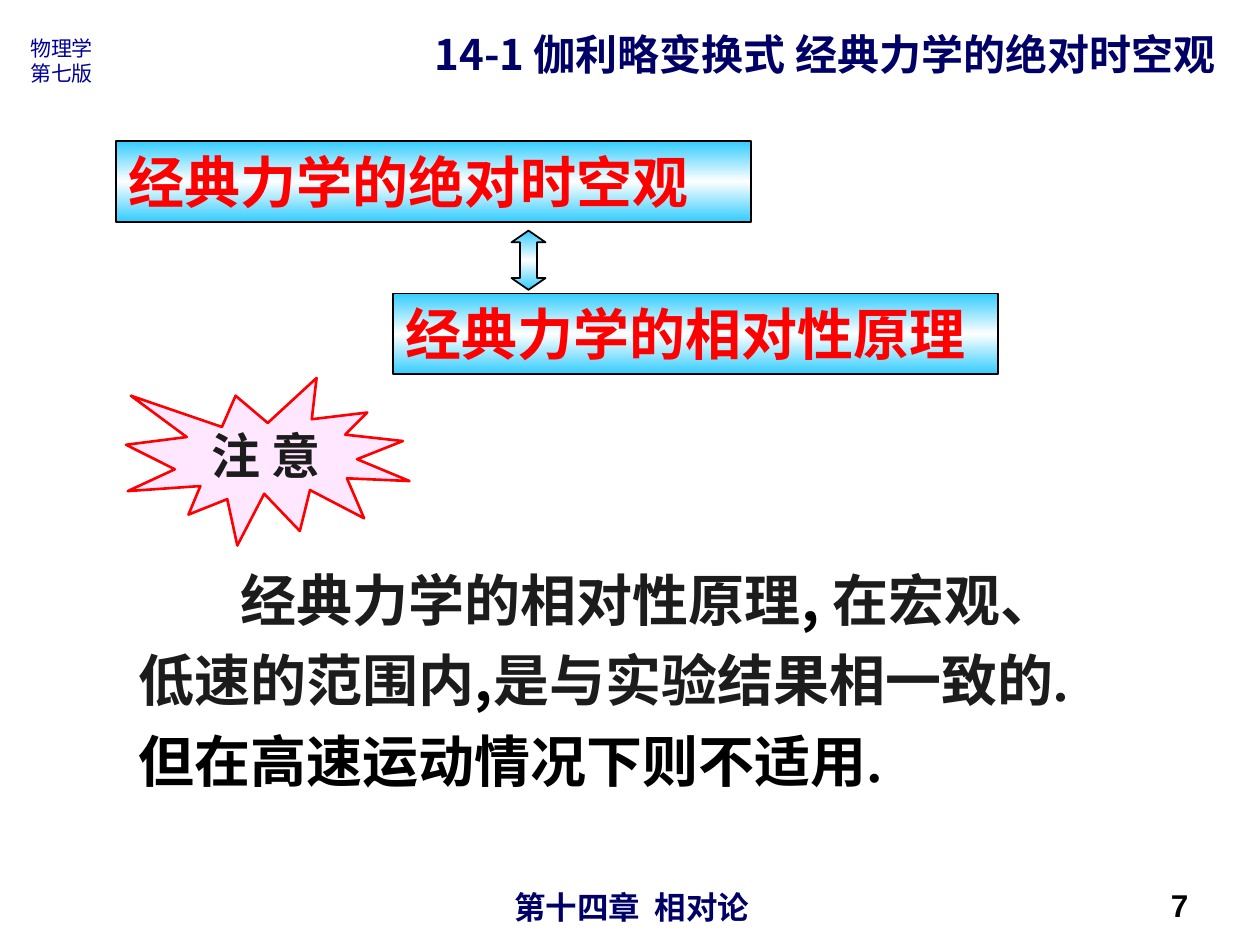
from copy import deepcopy
from dataclasses import dataclass

from pptx import Presentation
from pptx.dml.color import RGBColor
from pptx.enum.shapes import MSO_SHAPE
from pptx.enum.text import MSO_ANCHOR, PP_ALIGN
from pptx.util import Pt

RECT = MSO_SHAPE.RECTANGLE
ARROW = MSO_SHAPE.LEFT_RIGHT_ARROW
BURST = MSO_SHAPE.EXPLOSION1
LEFT, MID, RIGHT = PP_ALIGN.LEFT, PP_ALIGN.CENTER, PP_ALIGN.RIGHT
TOP, CENTRE = MSO_ANCHOR.TOP, MSO_ANCHOR.MIDDLE
PX = 9144


@dataclass(frozen=True)
class Theme:
    navy: str = "000066"
    blue: str = "000099"
    black: str = "000000"
    ink: str = "1C1C1C"
    red: str = "FF0000"
    pink: str = "FFE7FF"
    sky: str = "33CCFF"
    white: str = "FFFFFF"
    tiny: int = 12
    small: int = 18
    title: int = 24
    note: int = 28
    body: int = 32
    sans: str = "Arial"
    serif: str = "Times New Roman"
    han: str = "Noto Sans CJK SC"


def rgb(code):
    return RGBColor.from_string(code)


class Deck:
    def __init__(self, theme):
        self.theme = theme
        self.file = Presentation()
        self.file.slide_width, self.file.slide_height = 1000 * PX, 750 * PX
        self.slide = self.file.slides.add_slide(self.file.slide_layouts[6])

    def style(self, font, face, color):
        font.name = face
        font.color.rgb = rgb(color)

    def label(self, shape, lines, size, face, color, bold=True, align=LEFT, anchor=TOP):
        frame = shape.text_frame
        frame.word_wrap = True
        frame.vertical_anchor = anchor
        frame.text = "\n".join(lines)
        for para in frame.paragraphs:
            para.alignment = align
            para.font.size = Pt(size)
            para.font.bold = bold
            self.style(para.font, face, color)
        return frame.paragraphs[0]

    def text(self, box, lines, *look, **more):
        shape = self.slide.shapes.add_textbox(*(n * PX for n in box))
        return self.label(shape, lines, *look, **more)

    def prose(self, box, parts, size, indent, space):
        para = self.text(box, [""], size, self.theme.serif, self.theme.ink)
        para.line_spacing = space
        para._p.get_or_add_pPr().set("indent", str(indent * PX))
        for words, face, color in parts:
            run = para.add_run()
            run.text = words
            self.style(run.font, face, color)

    def shape(self, kind, box, line, width):
        shape = self.slide.shapes.add_shape(kind, *(n * PX for n in box))
        shape.shadow.inherit = False
        shape.line.color.rgb = rgb(line)
        shape.line.width = Pt(width)
        return shape

    def shine(self, kind, box, angle):
        shape = self.shape(kind, box, self.theme.black, 1)
        fill = shape.fill
        fill.gradient()
        fill.gradient_angle = angle
        first = fill.gradient_stops[0]._gs
        first.addnext(deepcopy(first))
        tones = (self.theme.sky, self.theme.white, self.theme.sky)
        for stop, tone, place in zip(fill.gradient_stops, tones, (0, 0.5, 1)):
            stop.color.rgb = rgb(tone)
            stop.position = place
        return shape

    def panel(self, box, words):
        t = self.theme
        self.label(self.shine(RECT, box, 90), [words], t.body, t.serif, t.red)

    def arrow(self, box):
        shape = self.shine(ARROW, box, 0)
        shape.rotation = 270
        shape.adjustments[0] = 0.5
        shape.adjustments[1] = 0.345

    def burst(self, box):
        shape = self.shape(BURST, box, self.theme.red, 1.5)
        shape.fill.solid()
        shape.fill.fore_color.rgb = rgb(self.theme.pink)


def main():
    t = Theme()
    deck = Deck(t)
    deck.text((343, 700, 317, 29), ["第十四章  相对论"], t.small, t.sans, t.navy, align=MID)
    title = deck.text((335, 10, 658, 106), ["14-1 伽利略变换式 经典力学的绝对时空观"],
                      t.title, t.han, t.navy)
    title.line_spacing = 1.2
    deck.text((14, 23, 72, 50), ["物理学", "第七版"], t.tiny, t.han, t.blue, bold=False)
    deck.text((720, 698, 233, 40), ["7"], t.small, t.sans, t.black, align=RIGHT, anchor=CENTRE)

    deck.panel((92, 112, 504, 64), "经典力学的绝对时空观")
    deck.panel((312, 233, 480, 64), "经典力学的相对性原理")
    deck.arrow((396, 193, 47, 27))

    deck.burst((100, 300, 225, 133))
    deck.text((158, 333, 175, 57), ["注 意"], t.note, t.serif, t.ink)
    parts = [
        ("经典力学的相对性原理", t.serif, t.ink),
        (", ", t.han, t.black),
        ("在宏观、低速的范围内", t.serif, t.ink),
        (",", t.han, t.black),
        ("是与实验结果相一致的.", t.serif, t.ink),
        ("但在高速运动情况下则不适用", t.sans, t.black),
        (".", t.serif, t.black),
    ]
    deck.prose((100, 433, 775, 202), parts, t.body, 81, 1.2)
    deck.file.save("out.pptx")


if __name__ == "__main__":
    main()
